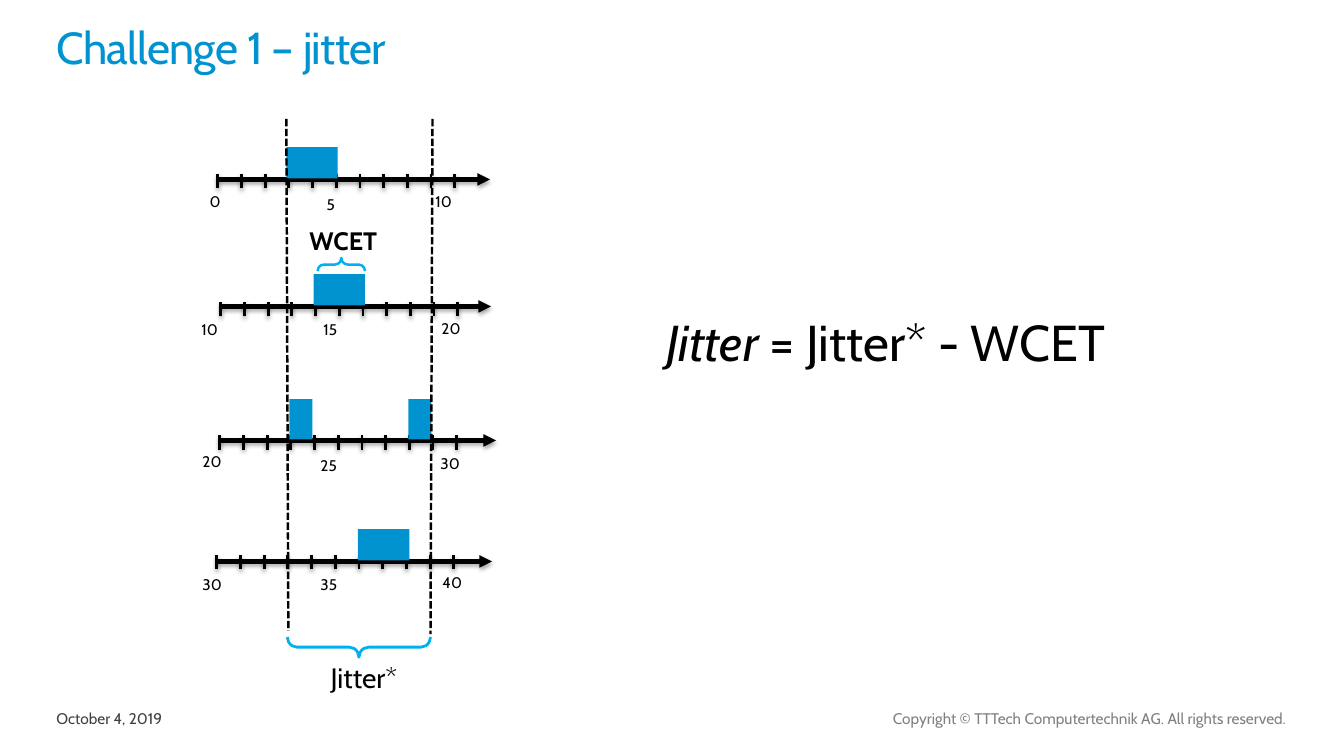
from pptx import Presentation
from pptx.dml.color import RGBColor
from pptx.enum.dml import MSO_LINE
from pptx.enum.shapes import MSO_CONNECTOR, MSO_SHAPE
from pptx.enum.text import MSO_ANCHOR, MSO_AUTO_SIZE as AUTO_SIZE, PP_ALIGN
from pptx.oxml import parse_xml
from pptx.oxml.ns import nsdecls
from pptx.util import Inches, Pt

TITLE = "Challenge 1 – jitter"
TEXTS = [
    dict(box=(0.56, 6.95, 1.54, 0.27), runs=[("October 4, 2019", {})],
         size="small", color="date", footer=True),
    dict(box=(4.38, 6.95, 8.38, 0.27),
         runs=[("Copyright © TTTech Computertechnik AG. All rights reserved.", {})],
         size="small", color="copyright", footer=True, align=PP_ALIGN.RIGHT),
    dict(box=(3.18, 6.5, 1, 0.44), runs=[("Jitter*", {})], size="jitter"),
    dict(box=(6.51, 3.04, 4.91, 0.71), size="formula",
         runs=[("Jitter", {"italic": True}), (" = Jitter* - WCET", {})]),
    dict(box=(2.97, 2.19, 1.01, 0.4), runs=[("WCET", {"bold": True})], size="wcet"),
]
TIMELINES = [
    dict(start=2.16, end=4.86, axis=1.78, tick_top=1.73, blocks=[(2.84, 0.51, 0.31)],
         labels=[("0", 1.98, 1.86), ("5", 3.14, 1.89), ("10", 4.22, 1.86)]),
    dict(start=2.19, end=4.87, axis=3.04, tick_top=3, blocks=[(3.11, 0.51, 0.31)],
         labels=[("10", 1.9, 3.13), ("15", 3.11, 3.13), ("20", 4.28, 3.12)]),
    dict(start=2.18, end=4.92, axis=4.37, tick_top=4.32,
         blocks=[(2.87, 0.23, 0.4), (4.05, 0.23, 0.4)],
         labels=[("20", 1.91, 4.44), ("25", 3.08, 4.48), ("30", 4.27, 4.46)]),
    dict(start=2.15, end=4.88, axis=5.57, tick_top=5.51, blocks=[(3.55, 0.51, 0.31)],
         labels=[("30", 1.91, 5.66), ("35", 3.08, 5.66), ("40", 4.29, 5.64)]),
]
BRACES = [((3.46, 5.71, 0.2, 1.42), 270, 2), ((3.32, 2.39, 0.13, 0.47), 90, 1.75)]
JITTER_BOUNDS = [(2.84, 1.18, 2.86, 6.26), (4.29, 1.18, 4.27, 6.29)]
TICK_COUNT, TICK_STEP, TICK_HEIGHT = 11, 0.235, 0.14

THEME = {
    "font": "Cabin",
    "colors": {"text": "000000", "accent": "0093D0", "brace": "00B0F0",
               "date": "414141", "copyright": "808080"},
    "sizes": {"small": 11, "wcet": 18, "jitter": 20, "title": 32, "formula": 36},
}


def theme_color(name):
    return RGBColor.from_string(THEME["colors"][name])


def apply(target, values):
    for name, value in values.items():
        setattr(target, name, value)


def inches(values):
    return [Inches(value) for value in values]


def style_font(font, size, color, **extra):
    apply(font, dict(name=THEME["font"], size=Pt(THEME["sizes"][size]), **extra))
    font.color.rgb = theme_color(color)


def add_text(slide, box, runs, size, color="text", footer=False, align=PP_ALIGN.LEFT):
    frame = slide.shapes.add_textbox(*inches(box)).text_frame
    frame.word_wrap = True
    if footer:
        apply(frame, dict(margin_left=0, margin_right=0, margin_top=0, margin_bottom=0,
                          vertical_anchor=MSO_ANCHOR.BOTTOM))
    else:
        frame.auto_size = AUTO_SIZE.SHAPE_TO_FIT_TEXT
    paragraph = frame.paragraphs[0]
    paragraph.alignment = align
    for text, extra in runs:
        run = paragraph.add_run()
        run.text = text
        style_font(run.font, size, color, **extra)


def add_line(slide, ends, width, shadow=None, arrow=False, dash=None):
    connector = slide.shapes.add_connector(MSO_CONNECTOR.STRAIGHT, *inches(ends))
    connector.line.width = Pt(width)
    connector.line.color.rgb = theme_color("text")
    if dash:
        connector.line.dash_style = dash
    properties = connector._element.spPr
    if arrow:
        connector.line._get_or_add_ln().append(
            parse_xml(f'<a:tailEnd {nsdecls("a")} type="triangle"/>'))
    effects = parse_xml(f'<a:effectLst {nsdecls("a")}/>')
    if shadow:
        opacity, blur, distance = shadow
        effects.append(parse_xml(
            f'<a:outerShdw {nsdecls("a")} blurRad="{Pt(blur)}" dist="{Pt(distance)}" '
            f'dir="5400000" rotWithShape="0"><a:srgbClr val="000000">'
            f'<a:alpha val="{opacity * 1000}"/></a:srgbClr></a:outerShdw>'))
    properties.append(effects)


def add_block(slide, box):
    block = slide.shapes.add_shape(MSO_SHAPE.RECTANGLE, *inches(box))
    block.shadow.inherit = False
    block.fill.solid()
    block.fill.fore_color.rgb = theme_color("accent")
    block.line.fill.background()


def add_brace(slide, box, rotation, width):
    brace = slide.shapes.add_shape(MSO_SHAPE.LEFT_BRACE, *inches(box))
    brace.shadow.inherit = False
    brace.rotation = rotation
    brace.adjustments[0] = 0.48
    brace.fill.background()
    brace.line.width = Pt(width)
    brace.line.color.rgb = theme_color("brace")


def add_timeline(slide, start, end, axis, tick_top, blocks, labels):
    for index in range(TICK_COUNT):
        x = start + index * TICK_STEP
        add_line(slide, (x, tick_top, x, tick_top + TICK_HEIGHT), 2, shadow=(38, 3.1, 1.6))
    for text, left, top in labels:
        add_text(slide, (left, top, 0.49, 0.29), [(text, {})], "small")
    add_line(slide, (start, axis, end, axis), 3, shadow=(35, 3.1, 1.8), arrow=True)
    for left, width, height in blocks:
        add_block(slide, (left, axis - 0.01 - height, width, height))


def set_title(slide):
    title = slide.shapes.title
    left, top, width, height = inches((0.56, 0.28, 9.73, 0.4))
    apply(title, dict(left=left, top=top, width=width, height=height))
    frame = title.text_frame
    apply(frame, dict(margin_left=0, margin_right=0, margin_top=0, margin_bottom=0,
                      vertical_anchor=MSO_ANCHOR.TOP, auto_size=AUTO_SIZE.NONE))
    paragraph = frame.paragraphs[0]
    apply(paragraph, dict(alignment=PP_ALIGN.LEFT, line_spacing=Pt(32)))
    run = paragraph.add_run()
    run.text = TITLE
    style_font(run.font, "title", "accent")
    run.font._element.set("spc", "-50")


def main():
    presentation = Presentation()
    apply(presentation, dict(slide_width=Inches(13.33), slide_height=Inches(7.5)))
    slide = presentation.slides.add_slide(presentation.slide_layouts[5])
    set_title(slide)
    for timeline in TIMELINES:
        add_timeline(slide, **timeline)
    for brace in BRACES:
        add_brace(slide, *brace)
    for text in TEXTS:
        add_text(slide, **text)
    for bound in JITTER_BOUNDS:
        add_line(slide, bound, 1.75, dash=MSO_LINE.SQUARE_DOT)
    presentation.save("out.pptx")


if __name__ == "__main__":
    main()
